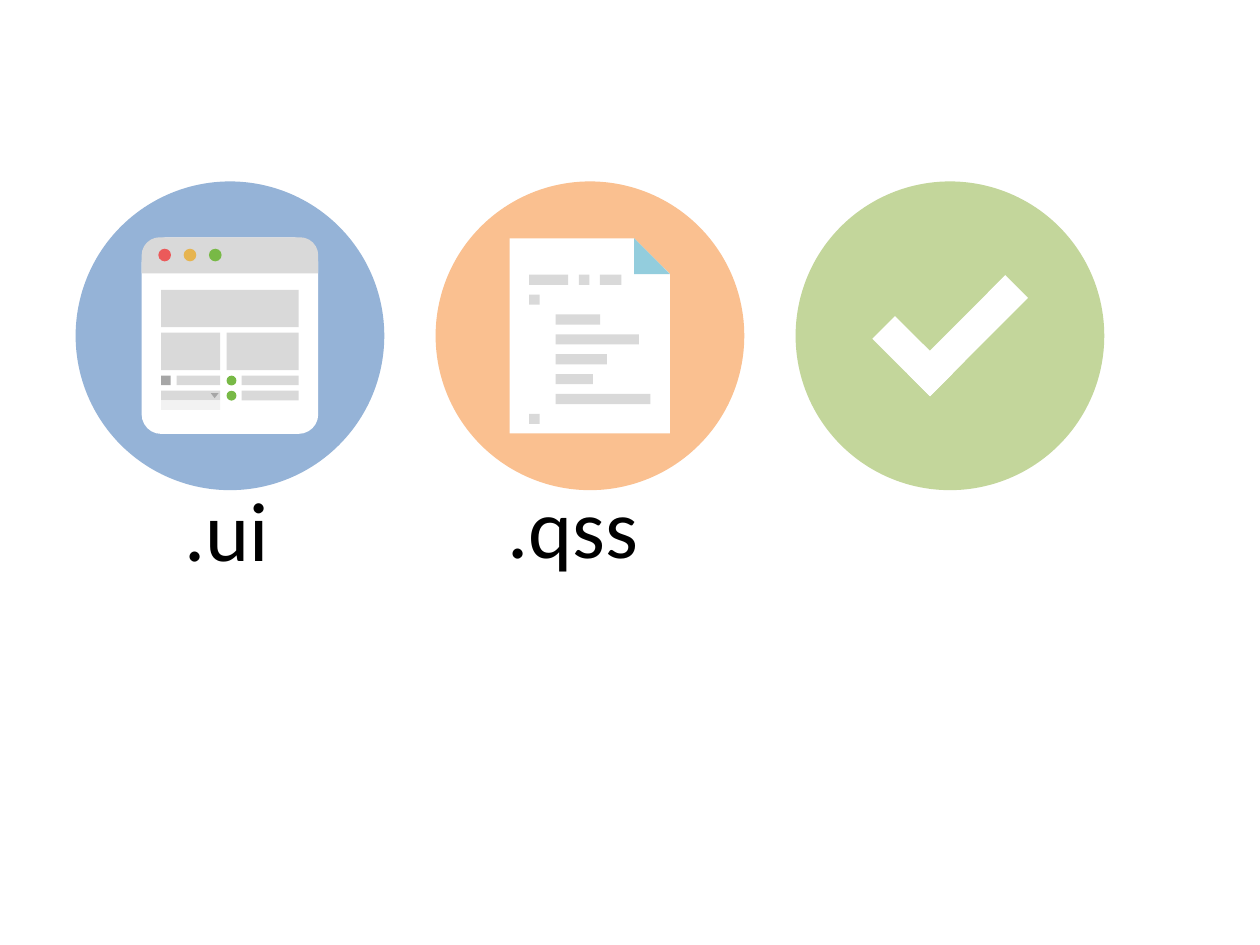
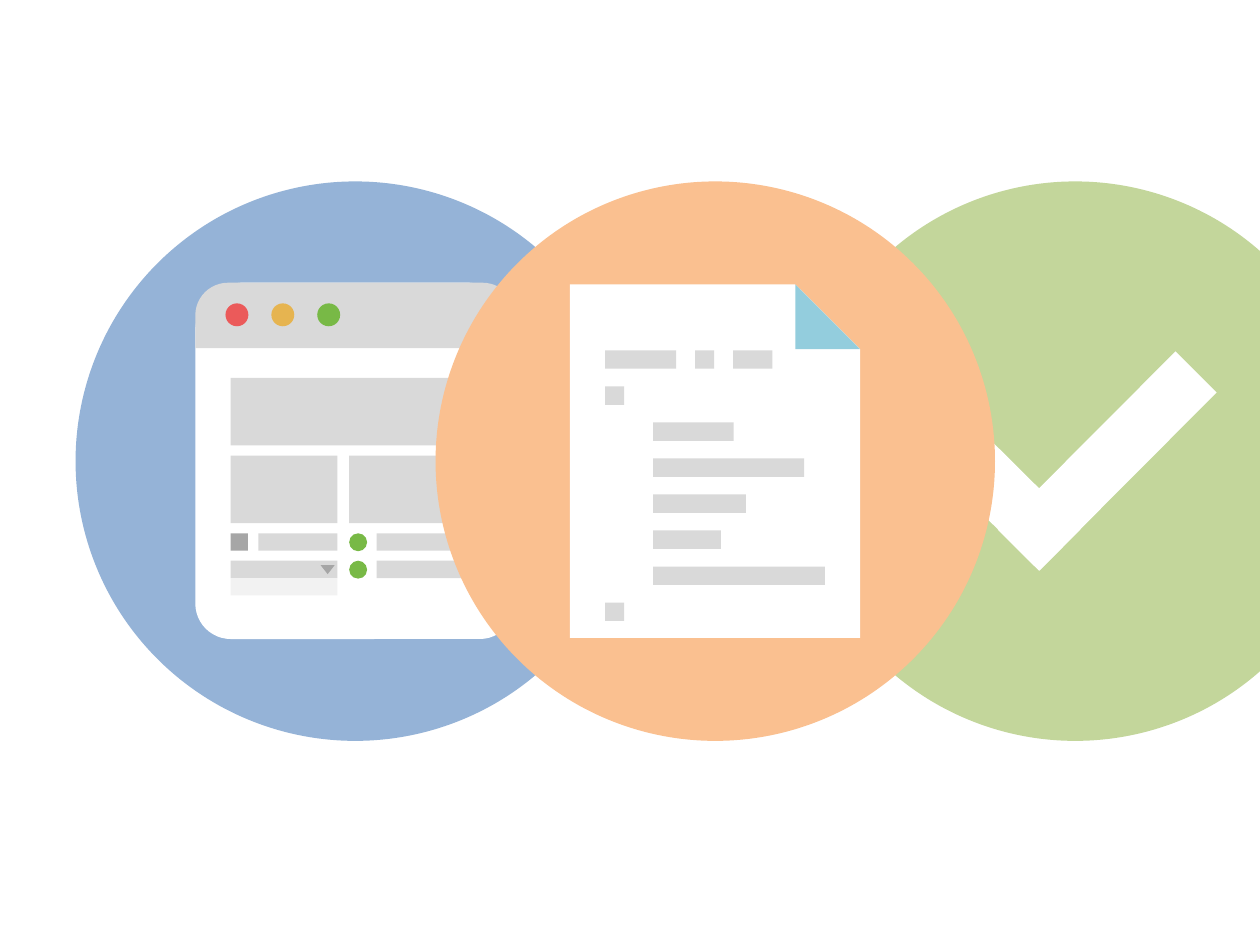
from pptx import Presentation, util as u
from pptx.dml.color import RGBColor
from pptx.enum import shapes, text

SLIDE_W, SLIDE_H = 10, 7.5
FIRST_LEFT, BADGE_TOP = 0.6, 1.44
BADGE_PITCH = SLIDE_W / 3.5

BLUE, ORANGE, GREEN, SKY = "95B3D7", "FAC090", "C3D69B", "93CDDD"
WHITE, PALE, GREY, DARK, BLACK = "FFFFFF", "F2F2F2", "D9D9D9", "A6A6A6", "000000"
RED, AMBER, LEAF = "EB5A5A", "E6B450", "78B946"

RECT = shapes.MSO_SHAPE.RECTANGLE
OVAL = shapes.MSO_SHAPE.OVAL
ROUND_TOP = shapes.MSO_SHAPE.ROUND_2_SAME_RECTANGLE
SNIPPED = shapes.MSO_SHAPE.SNIP_1_RECTANGLE
CORNER = shapes.MSO_SHAPE.RIGHT_TRIANGLE
TRIANGLE = shapes.MSO_SHAPE.ISOSCELES_TRIANGLE

CAPTION_FRAME = {"word_wrap": False, "auto_size": text.MSO_AUTO_SIZE.SHAPE_TO_FIT_TEXT}
CAPTION_FONT = {"name": "Calibri", "size": u.Pt(48)}


def color(hex_value):
    return RGBColor.from_string(hex_value)


def apply(target, values):
    for key, value in values.items():
        setattr(target, key, value)


class Deck:
    def __init__(self):
        self.prs = Presentation()
        apply(self.prs, {"slide_width": u.Inches(SLIDE_W), "slide_height": u.Inches(SLIDE_H)})

    def new_slide(self, diameter):
        self.slide = self.prs.slides.add_slide(self.prs.slide_layouts[6])
        self.diameter = diameter

    def badge(self, column, fill):
        self.left = FIRST_LEFT + column * BADGE_PITCH
        self.group = self.slide.shapes.add_group_shape()
        self.piece(OVAL, 0, 0, 100, 100, fill)

    def piece(self, kind, x, y, w, h, fill=GREY, rotation=0, adjust=()):
        """Places a piece in hundredths of the badge's diameter."""
        unit = self.diameter / 100
        box = (self.left + x * unit, BADGE_TOP + y * unit, w * unit, h * unit)
        shape = self.group.shapes.add_shape(kind, *map(u.Inches, box))
        shape.shadow.inherit = False
        shape.rotation = rotation
        shape.fill.solid()
        shape.fill.fore_color.rgb = color(fill)
        shape.line.fill.background()
        for i, value in enumerate(adjust):
            shape.adjustments[i] = value

    def caption(self, words, left, top, width, height):
        box = self.slide.shapes.add_textbox(*map(u.Inches, (left, top, width, height)))
        apply(box.text_frame, CAPTION_FRAME)
        paragraph = box.text_frame.paragraphs[0]
        paragraph.alignment = text.PP_ALIGN.CENTER
        run = paragraph.add_run()
        run.text = words
        apply(run.font, CAPTION_FONT)
        run.font.color.rgb = color(BLACK)

    def window_badge(self, column):
        self.badge(column, BLUE)
        self.piece(ROUND_TOP, 21.4, 18.1, 57.2, 63.7, WHITE, adjust=(0.152, 0.111))
        self.piece(ROUND_TOP, 21.4, 18.1, 57.2, 11.7, adjust=(0.5, 0))
        for i, fill in enumerate((RED, AMBER, LEAF)):
            self.piece(OVAL, 26.8 + 8.2 * i, 21.8, 4.1, 4.1, fill)

        edge, middle, bar = 27.7, 48.9, 3.1
        self.piece(RECT, edge, 35.1, 44.6, 12.1)
        self.piece(RECT, edge, 49, 19.1, 12.1)
        self.piece(RECT, middle, 49, 23.4, 12.1)

        check_row, combo_row = 62.9, 67.8
        for row in (check_row, combo_row):
            self.piece(OVAL, middle, row, 3.2, 3.2, LEAF)
            self.piece(RECT, 53.8, row, 18.5, bar)
        self.piece(RECT, edge, check_row, bar, bar, DARK)
        self.piece(RECT, 32.7, check_row, 14.1, bar)
        self.piece(RECT, edge, combo_row, 19.1, bar)
        self.piece(RECT, edge, combo_row + bar, 19.1, bar, PALE)
        self.piece(TRIANGLE, 43.8, 68.6, 2.5, 1.6, DARK, rotation=180)

    def stylesheet_badge(self, column):
        self.badge(column, ORANGE)
        self.piece(SNIPPED, 24, 18.4, 51.9, 63.2, WHITE, adjust=(0.224,))
        self.piece(CORNER, 64.3, 18.4, 11.6, 11.6, SKY)
        margin, indent, mark = 30.3, 38.9, 3.4
        code_lines = (
            [(margin, 12.7), (46.4, mark), (53.2, 7)],
            [(margin, mark)],
            [(indent, 14.4)],
            [(indent, 27)],
            [(indent, 16.6)],
            [(indent, 12.1)],
            [(indent, 30.7)],
            [(margin, mark)],
        )
        for row, words in enumerate(code_lines):
            for x, width in words:
                self.piece(RECT, x, 30.2 + 6.44 * row, width, 3.3)

    def check_badge(self, column):
        self.badge(column, GREEN)
        self.piece(RECT, 32.7, 43.4, 10.4, 26.4, WHITE, rotation=314.8)
        self.piece(RECT, 50.5, 27.5, 10.4, 45, WHITE, rotation=44.9)


def main():
    deck = Deck()

    deck.new_slide(2.45)
    deck.window_badge(0)
    deck.stylesheet_badge(1)
    deck.check_badge(2)
    deck.caption(".ui", 1.36, 3.74, 0.88, 0.91)
    deck.caption(".qss", 3.92, 3.72, 1.25, 0.91)

    deck.new_slide(4.44)
    deck.window_badge(0)
    deck.check_badge(2)
    deck.stylesheet_badge(1)

    deck.prs.save("out.pptx")


if __name__ == "__main__":
    main()
